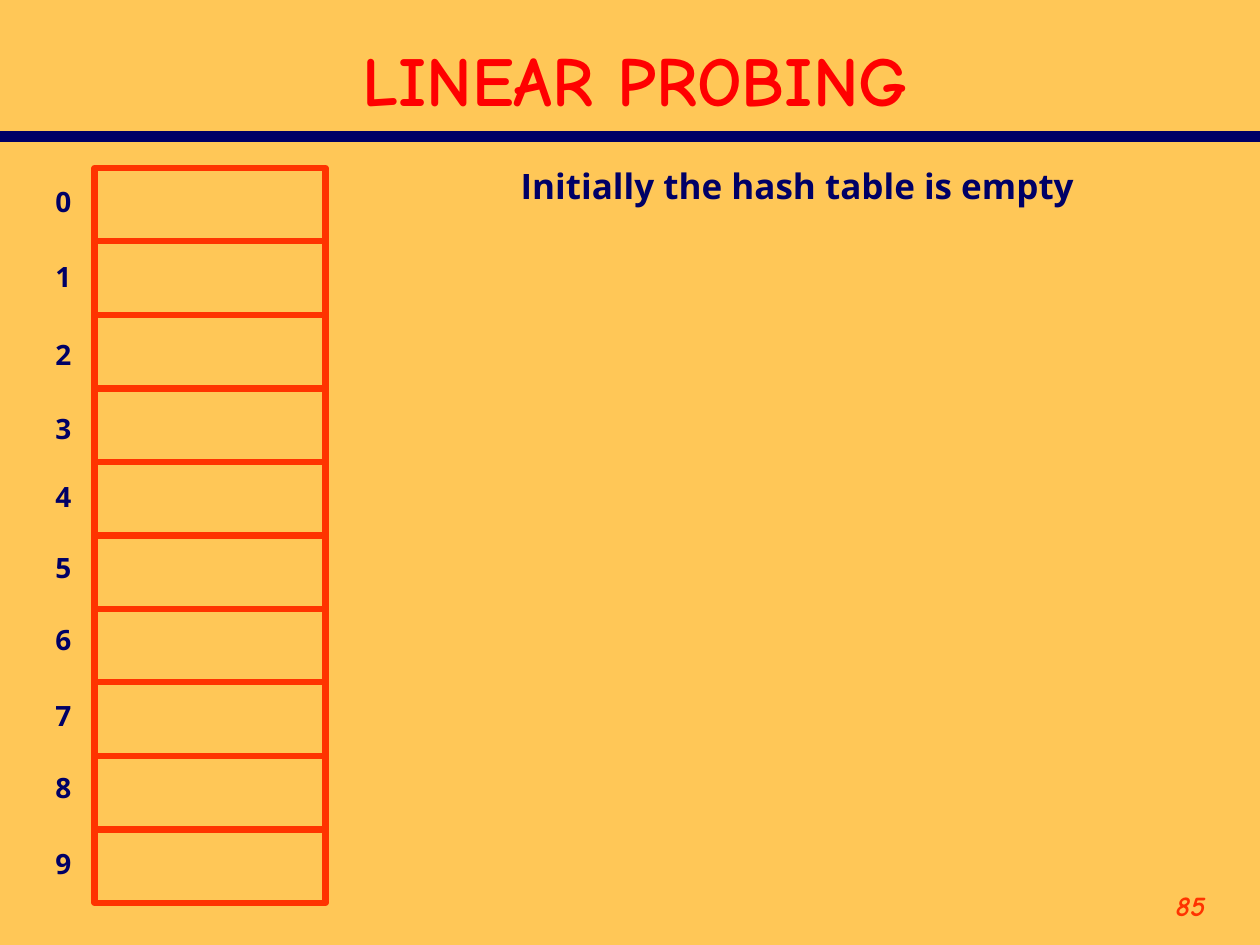
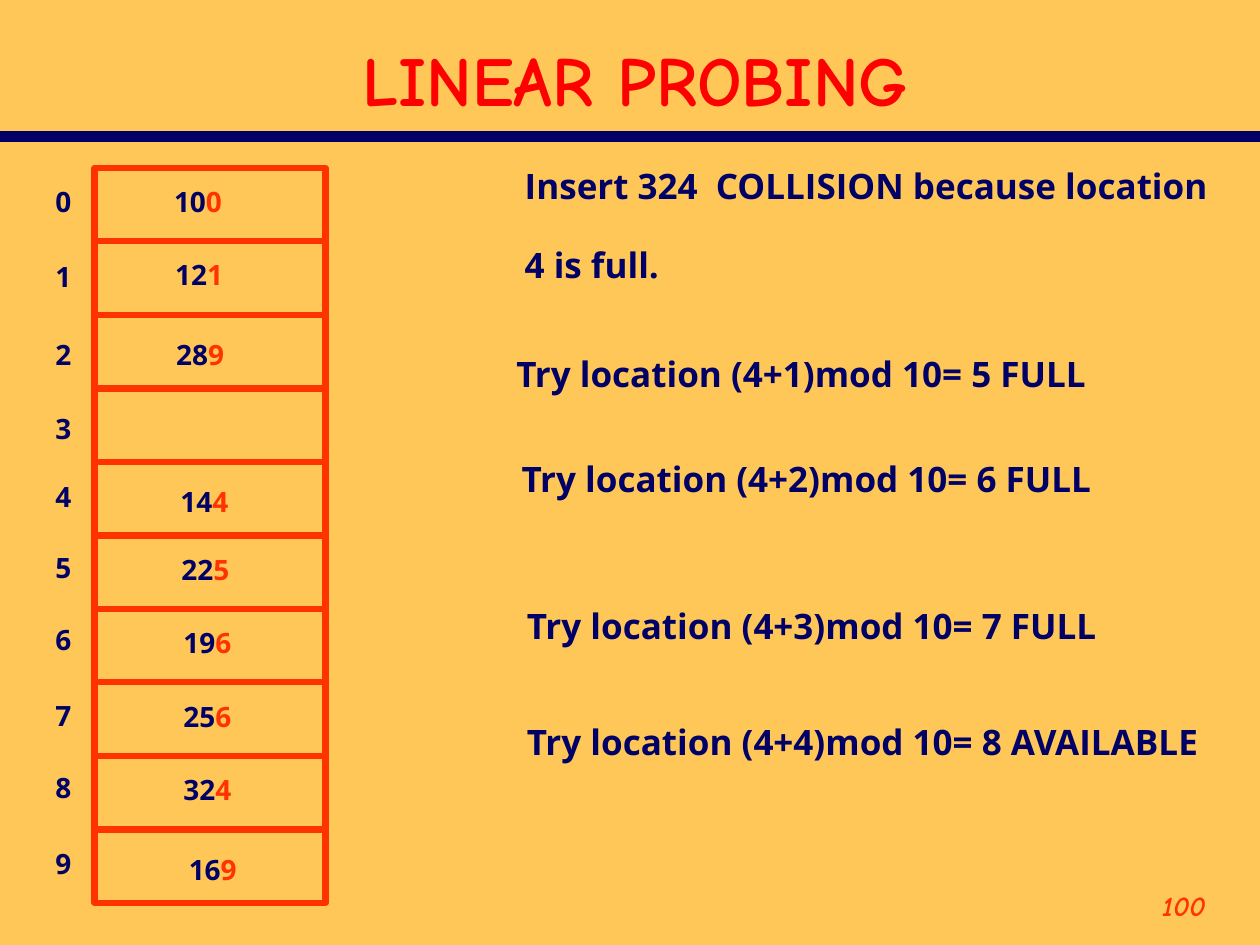
from lxml.etree import SubElement
from pptx import Presentation
from pptx.dml.color import RGBColor
from pptx.enum.shapes import MSO_CONNECTOR, MSO_SHAPE
from pptx.enum.text import MSO_ANCHOR, MSO_AUTO_SIZE, PP_ALIGN
from pptx.oxml.ns import qn
from pptx.util import Emu, Pt

EMU_PER_PX = 7620
SLIDE_WIDTH, SLIDE_HEIGHT = 1200, 900

SAND = RGBColor(0xFF, 0xC7, 0x57)
NAVY = RGBColor(0x00, 0x00, 0x66)
RED = RGBColor(0xFF, 0x00, 0x00)
ORANGE = RGBColor(0xFF, 0x33, 0x00)

TITLE_ONLY_LAYOUT = 5
RULE_TOP = 130
TABLE_LEFT, TABLE_TOP = 90, 160
CELL_WIDTH, CELL_HEIGHT = 220, 70
INDEX_LEFT = 41
INDEX_TOPS = [170, 241, 316, 386, 451, 518, 587, 659, 728, 800]

STORED_KEYS = [
    ("100", 154, 170),
    ("121", 155, 239),
    ("289", 156, 316),
    ("144", 160, 456),
    ("225", 161, 520),
    ("196", 163, 590),
    ("256", 163, 660),
    ("324", 163, 730),
    ("169", 168, 806),
]
PROBES = [
    ("Try location (4+1)mod 10= 5 FULL", 480, 330),
    ("Try location (4+2)mod 10= 6 FULL", 485, 430),
    ("Try location (4+3)mod 10= 7 FULL", 490, 570),
    ("Try location (4+4)mod 10= 8 AVAILABLE", 490, 680),
]


def px(length):
    return Emu(length * EMU_PER_PX)


def write_text(frame, text, size=20, font="Open Sans", colour=NAVY, italic=False,
               align=PP_ALIGN.LEFT, gap=0, last_colour=None):
    for position, line in enumerate(text.split("\n")):
        paragraph = frame.add_paragraph() if position else frame.paragraphs[0]
        paragraph.alignment = align
        if position:
            paragraph.space_before = Pt(gap)
        pieces = [(line, colour)]
        if last_colour is not None:
            pieces = [(line[:-1], colour), (line[-1], last_colour)]
        for words, shade in pieces:
            run = paragraph.add_run()
            run.text = words
            run.font.size = Pt(size)
            run.font.name = font
            run.font.bold = True
            run.font.italic = italic
            run.font.color.rgb = shade


class Deck:
    heading_font = "Comic Neue"

    def __init__(self):
        self.presentation = Presentation()
        self.presentation.slide_width = px(SLIDE_WIDTH)
        self.presentation.slide_height = px(SLIDE_HEIGHT)
        fill = self.presentation.slide_master.background.fill
        fill.solid()
        fill.fore_color.rgb = SAND
        self.slide = None

    def start_slide(self, title, number):
        layout = self.presentation.slide_layouts[TITLE_ONLY_LAYOUT]
        self.slide = self.presentation.slides.add_slide(layout)
        self.rule(RULE_TOP)
        self.title(title)
        self.text(number, 1040, 840, 120, 60, wrap=True, size=16,
                  font=self.heading_font, colour=ORANGE, italic=True,
                  align=PP_ALIGN.RIGHT)

    def rule(self, top):
        connector = self.slide.shapes.add_connector(
            MSO_CONNECTOR.STRAIGHT, px(0), px(top), px(SLIDE_WIDTH), px(top))
        connector.line.color.rgb = NAVY
        connector.line.width = Pt(6)
        SubElement(connector.element.spPr, qn("a:effectLst"))

    def title(self, text):
        shape = self.slide.shapes.title
        shape.left, shape.top = px(50), px(30)
        shape.width, shape.height = px(1110), px(90)
        frame = shape.text_frame
        frame.auto_size = MSO_AUTO_SIZE.NONE
        frame.vertical_anchor = MSO_ANCHOR.MIDDLE
        write_text(frame, text, size=40, font=self.heading_font, colour=RED,
                   align=PP_ALIGN.CENTER)

    def text(self, text, left, top, width, height, wrap=False, **style):
        box = self.slide.shapes.add_textbox(px(left), px(top), px(width), px(height))
        box.text_frame.word_wrap = wrap
        box.text_frame.auto_size = MSO_AUTO_SIZE.SHAPE_TO_FIT_TEXT
        write_text(box.text_frame, text, **style)

    def cell(self, row):
        shape = self.slide.shapes.add_shape(
            MSO_SHAPE.RECTANGLE, px(TABLE_LEFT), px(TABLE_TOP + row * CELL_HEIGHT),
            px(CELL_WIDTH), px(CELL_HEIGHT))
        shape.shadow.inherit = False
        shape.fill.background()
        shape.line.color.rgb = ORANGE
        shape.line.width = Pt(3.5)

    def hash_table(self):
        for row, top in enumerate(INDEX_TOPS):
            self.cell(row)
            self.text(str(row), INDEX_LEFT, top, 38, 44, size=16)

    def stored_key(self, key, left, top):
        self.text(key, left, top, 70, 44, size=16, last_colour=ORANGE)


def main():
    deck = Deck()

    deck.start_slide("LINEAR PROBING", "85")
    deck.text("Initially the hash table is empty", 484, 151, 553, 53)
    deck.hash_table()

    deck.start_slide("LINEAR PROBING", "100")
    deck.hash_table()
    deck.text("Insert 324  COLLISION because location\n4 is full.",
              488, 151, 682, 132, gap=20.8)
    for key, left, top in STORED_KEYS:
        deck.stored_key(key, left, top)
    for probe, left, top in PROBES:
        deck.text(probe, left, top, 670, 92, wrap=True)

    deck.presentation.save("out.pptx")


if __name__ == "__main__":
    main()
